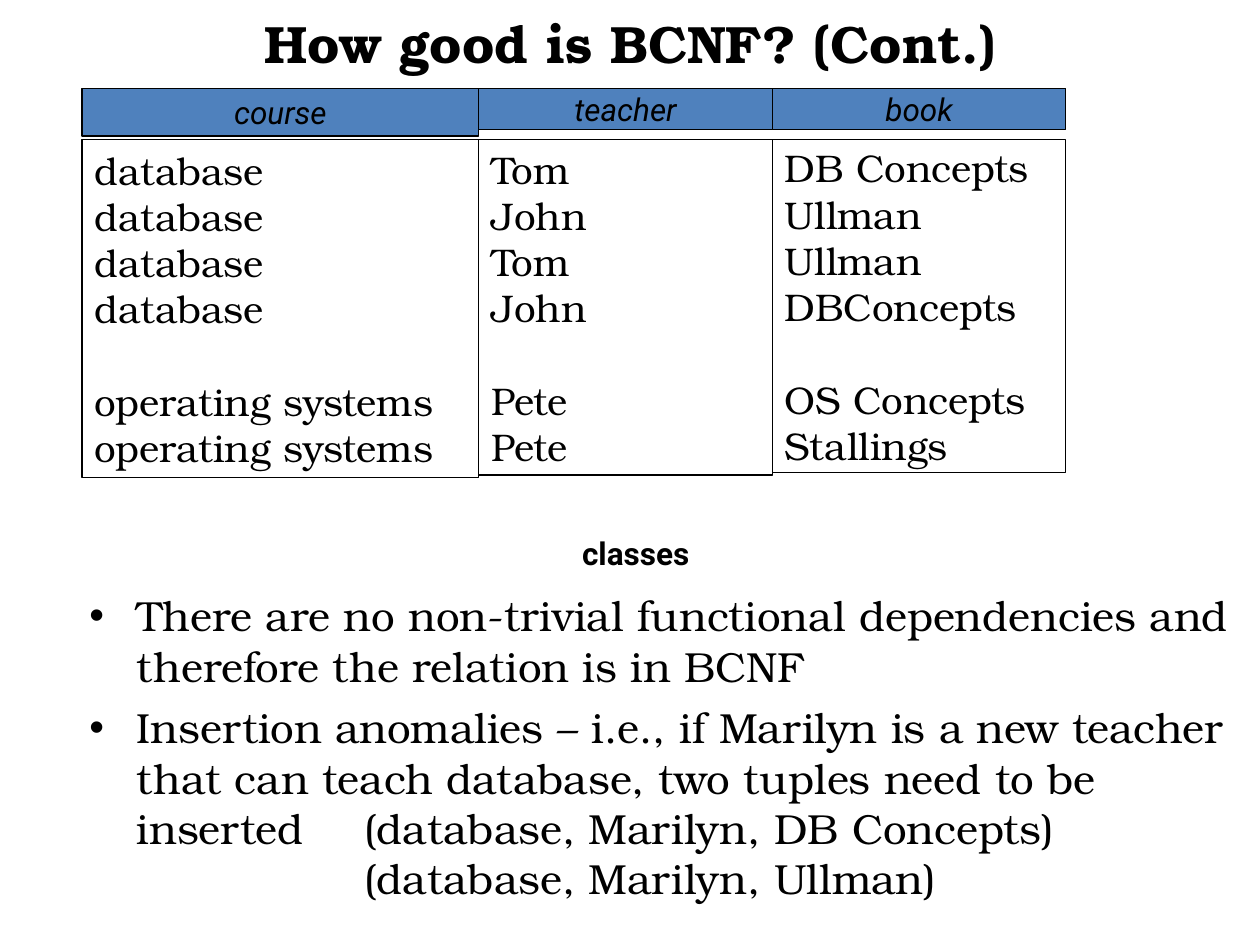
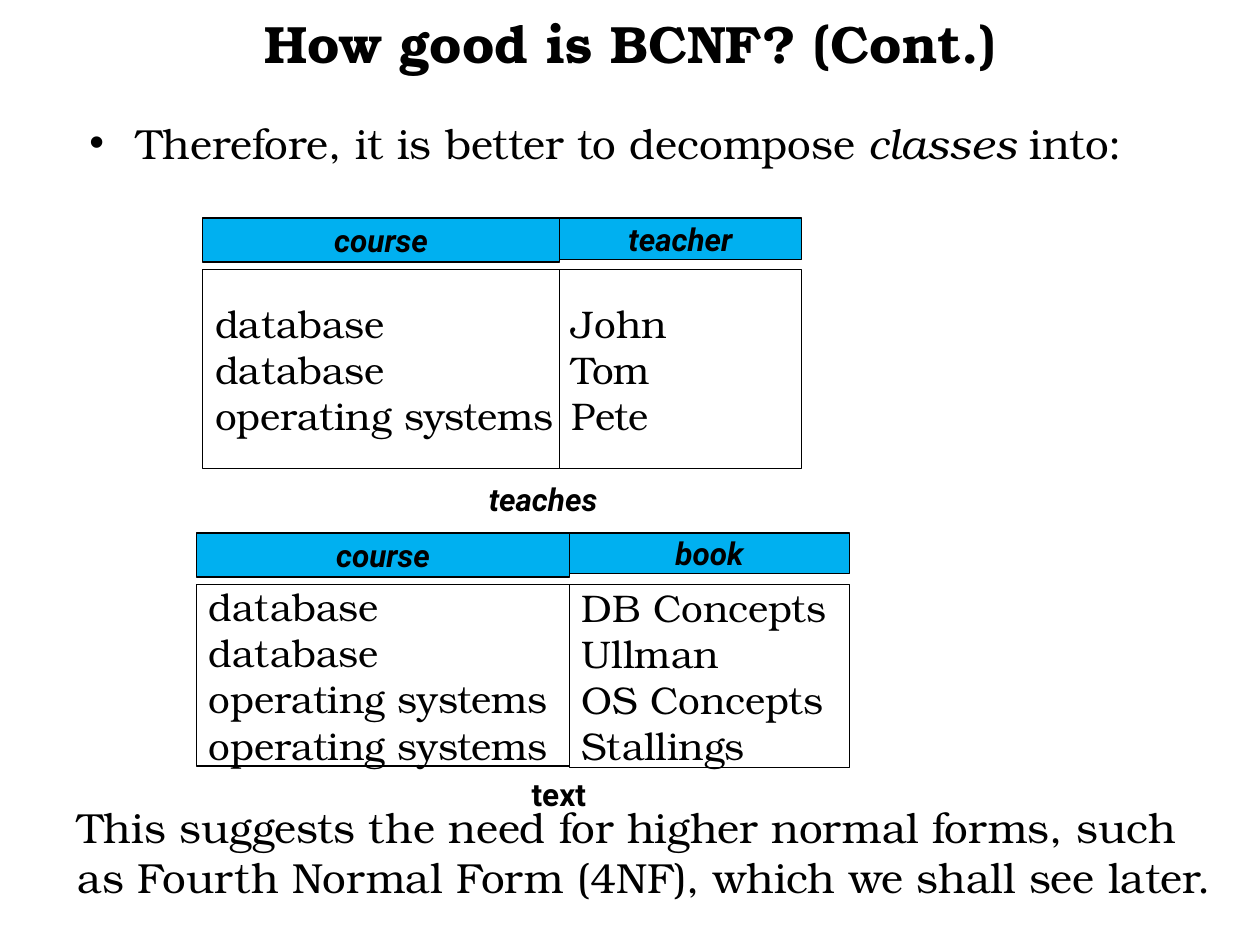
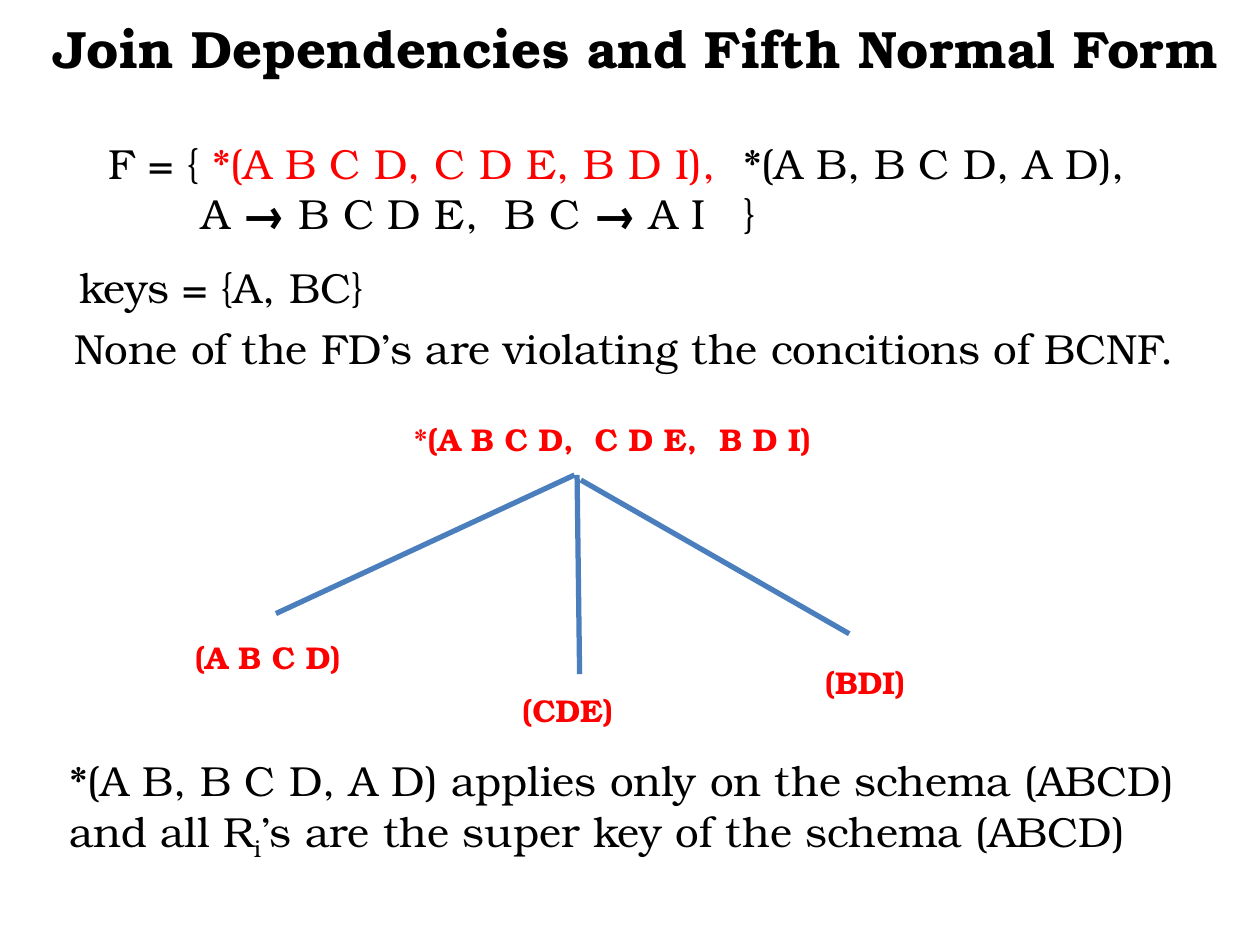
import pptx
import pptx.util
import pptx.dml.color
import pptx.enum.shapes
import pptx.enum.text
import lxml.etree

Inches = pptx.util.Inches
Pt = pptx.util.Pt
ALIGN = pptx.enum.text.PP_ALIGN
ANCHOR = pptx.enum.text.MSO_ANCHOR
NS = "{http://schemas.openxmlformats.org/drawingml/2006/main}"

HUE = {"ink": "000000", "paper": "FFFFFF", "red": "FF0000",
       "blue": "4F81BD", "sky": "00B0F0", "branch": "4B7EBC"}
SERIF = "TeX Gyre Bonum"
SANS = "Roboto"

BOLD = {"bold": True}
ITAL = {"italic": True}
RED = {"hue": "red"}
HEAD = {"face": SANS, "size": 18, "italic": True}
CAP = {"face": SANS, "size": 18, "bold": True}
CELL = {"size": 22}
NODE = {"size": 18, "bold": True, "hue": "red"}
TITLE = {"size": 30, "bold": True}

GOOD = "How good is BCNF? (Cont.)"
GOOD_AT = (1.09, 0, 7.83, 0.67)

FACTS = [
    [("There are no non-trivial functional dependencies and "
      "therefore the relation is in BCNF", {})],
    [("Insertion anomalies – i.e., if Marilyn is a new teacher that can "
      "teach database, two tuples need to be inserted"
      "\t(database, Marilyn, DB Concepts)", {}),
     ("\n", {}),
     ("\t(database, Marilyn, Ullman)", {})],
]
SPLIT = [[("Therefore, it is better to decompose ", {}),
          ("classes ", ITAL), ("into:", {})]]
NEED = [[("This suggests the need for higher normal forms, such as "
          "Fourth Normal Form (4NF), which we shall see later.", {})]]

CLASSES = {
    "left": 0.65, "top": 0.7, "body": 1.11, "hue": "blue", "head": HEAD, "gap": 4,
    "cols": [
        ("course", 3.15, 0.38, 2.68,
         ["database"] * 4 + ["operating systems"] * 2),
        ("teacher", 2.33, 0.33, 2.66,
         ["Tom", "John", "Tom", "John", "Pete", "Pete"]),
        ("book", 2.33, 0.33, 2.64,
         ["DB Concepts", "Ullman", "Ullman", "DBConcepts",
          "OS Concepts", "Stallings"]),
    ],
}
TEACHES = {
    "left": 1.61, "top": 1.73, "body": 2.14, "hue": "sky", "head": HEAD | BOLD, "gap": None,
    "cols": [
        ("course", 2.83, 0.35, 1.58,
         ["database", "database", "operating systems"]),
        ("teacher", 1.92, 0.33, 1.58, ["John", "Tom", "Pete"]),
    ],
}
BOOKS = {
    "left": 1.56, "top": 4.23, "body": 4.64, "hue": "sky", "head": HEAD | BOLD, "gap": None,
    "cols": [
        ("course", 2.96, 0.35, 1.44,
         ["database"] * 2 + ["operating systems"] * 2),
        ("book", 2.22, 0.32, 1.45,
         ["DB Concepts", "Ullman", "OS Concepts", "Stallings"]),
    ],
}

RULES = [
    [("F = { ", {}), ("*(A B C D, C D E, B D I),", RED),
     ("\t*(A B, B C D, A D),", {})],
    [("\tA ", {}), ("→", BOLD), (" B C D E,\tB C ", {}),
     ("→", BOLD), (" A I\t}", {})],
]
KEYS = [[("keys = {A, BC}", {})]]
NONE = [[("None of the FD’s are violating the concitions of BCNF.", {})]]
SCOPE = [[("*(A B, B C D, A D) applies only on the schema (ABCD) and all R", {}),
          ("i", {"base": -25}),
          ("’s are the super key of the schema (ABCD)", {})]]
ROOT = [[("*(A B C D,\tC D E,\tB D I)", {})]]
LEAVES = [("(A B C D)", 1.4, 4.97), ("(CDE)", 3.78, 5.39), ("(BDI)", 6.14, 5.17)]
EDGES = [(4.56, 3.77, 2.19, 4.87), (4.58, 3.77, 4.6, 5.35),
         (4.61, 3.81, 6.74, 5.03)]


def paint(color, name):
    color.rgb = pptx.dml.color.RGBColor.from_string(HUE[name])


def plain(words):
    return [[(word, {})] for word in words]


def write(frame, paras, look=None, align=None, tabs=()):
    frame.auto_size = pptx.enum.text.MSO_AUTO_SIZE.NONE
    for pos, runs in enumerate(paras):
        para = frame.paragraphs[0] if pos == 0 else frame.add_paragraph()
        if align is not None:
            para.alignment = align
        if tabs:
            stops = lxml.etree.SubElement(para._p.get_or_add_pPr(), NS + "tabLst")
            for stop in tabs:
                lxml.etree.SubElement(stops, NS + "tab", pos=str(Inches(stop)), algn="l")
        for text, extra in runs:
            if text == "\n":
                para.add_line_break()
                continue
            style = {"face": SERIF, "size": 24, "hue": "ink"} | (look or {}) | extra
            run = para.add_run()
            run.text = text
            font = run.font
            font.name = style["face"]
            font.size = Pt(style["size"])
            font.bold = style.get("bold", False)
            font.italic = style.get("italic", False)
            paint(font.color, style["hue"])
            if "base" in style:
                font._element.set("baseline", str(style["base"] * 1000))


def place(shape, at):
    shape.left, shape.top, shape.width, shape.height = map(Inches, at)


def start(deck, kind, title, at):
    slide = deck.slides.add_slide(deck.slide_layouts[kind])
    head = slide.shapes.title
    place(head, at)
    head.text_frame.vertical_anchor = ANCHOR.MIDDLE
    write(head.text_frame, plain([title]), TITLE, ALIGN.CENTER)
    return slide


def list_in(slide, at, paras, tabs=()):
    body = slide.placeholders[1]
    place(body, at)
    write(body.text_frame, paras, tabs=tabs)


def note(slide, at, paras, look=None, align=ALIGN.LEFT, wrap=True, tabs=()):
    frame = slide.shapes.add_textbox(*map(Inches, at)).text_frame
    frame.word_wrap = wrap
    write(frame, paras, look, align, tabs)


def box(slide, at, paras, look, align, fill="paper", edge="ink",
        width=0.75, wrap=False, tabs=()):
    shape = slide.shapes.add_shape(
        pptx.enum.shapes.MSO_SHAPE.RECTANGLE, *map(Inches, at))
    shape.shadow.inherit = False
    shape.fill.solid()
    paint(shape.fill.fore_color, fill)
    paint(shape.line.color, edge)
    shape.line.width = Pt(width)
    frame = shape.text_frame
    frame.word_wrap = wrap
    frame.vertical_anchor = ANCHOR.MIDDLE
    write(frame, paras, look, align, tabs)
    return frame


def grid(slide, data):
    left = data["left"]
    for name, width, high, deep, rows in data["cols"]:
        box(slide, (left, data["top"], width, high), plain([name]),
            data["head"], ALIGN.CENTER, data["hue"])
        frame = box(slide, (left, data["body"], width, deep), plain(rows),
                    CELL, ALIGN.LEFT)
        if data["gap"]:
            frame.paragraphs[data["gap"]].space_before = Pt(26.5)
        left += width


def node(slide, at, paras, align, tabs=()):
    return box(slide, at, paras, NODE, align, edge="paper", width=2,
               wrap=True, tabs=tabs)


def branch(slide, ends):
    line = slide.shapes.add_connector(
        pptx.enum.shapes.MSO_CONNECTOR.STRAIGHT, *map(Inches, ends))
    paint(line.line.color, "branch")
    line.line.width = Pt(3)
    lxml.etree.SubElement(line._element.spPr, NS + "effectLst")


def main():
    deck = pptx.Presentation()
    deck.slide_width, deck.slide_height = Inches(10), Inches(7.5)

    slide = start(deck, 1, GOOD, GOOD_AT)
    list_in(slide, (0.61, 4.63, 9.39, 2.53), FACTS, [2.18])
    grid(slide, CLASSES)
    note(slide, (4.49, 4.19, 1.11, 0.4), plain(["classes"]), CAP, ALIGN.CENTER, False)

    slide = start(deck, 1, GOOD, GOOD_AT)
    list_in(slide, (0.61, 0.88, 8.52, 0.58), SPLIT)
    grid(slide, TEACHES)
    note(slide, (3.74, 3.76, 1.14, 0.4), plain(["teaches"]), CAP | ITAL,
         ALIGN.CENTER, False)
    grid(slide, BOOKS)
    note(slide, (4.11, 6.1, 0.65, 0.4), plain(["text"]), CAP, ALIGN.CENTER, False)
    note(slide, (0.52, 6.31, 9.29, 0.58), NEED)

    slide = start(deck, 5, "Join Dependencies and Fifth Normal Form",
                  (0.28, 0, 9.53, 0.75))
    note(slide, (0.76, 1.04, 8.73, 0.91), RULES, tabs=[0.74, 3.15, 5.04])
    note(slide, (0.53, 2.03, 8.98, 0.5), KEYS)
    note(slide, (0.45, 5.94, 9.34, 0.91), SCOPE)
    for ends in EDGES:
        branch(slide, ends)
    for text, left, top in LEAVES:
        node(slide, (left, top, 1.45, 0.48), plain([text]), ALIGN.CENTER)
    root = node(slide, (1.21, 3.24, 5.45, 0.48), ROOT, ALIGN.LEFT, [1.44, 2.43])
    root.margin_left = Inches(2.07)
    note(slide, (0.49, 2.51, 9.09, 0.5), NONE)

    deck.save("out.pptx")


if __name__ == "__main__":
    main()
